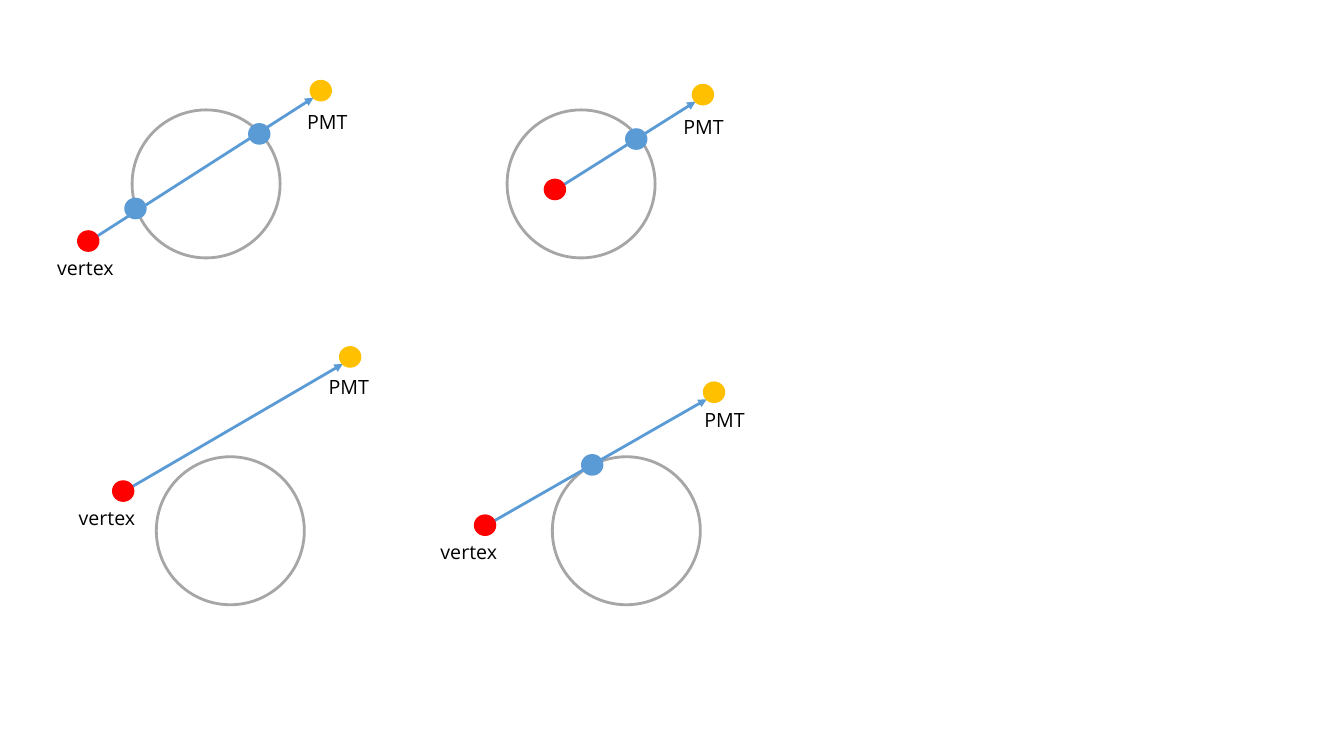
from lxml.etree import SubElement
from pptx import Presentation
from pptx.dml.color import RGBColor
from pptx.enum.shapes import MSO_CONNECTOR, MSO_SHAPE
from pptx.oxml.ns import qn
from pptx.util import Cm, Pt

COLORS = {
    "sphere": "A6A6A6",
    "ray": "5B9BD5",
    "vertex": "FF0000",
    "pmt": "FFC000",
    "text": "000000",
}
SPHERE_SIZE = 3.73
DOT_WIDTH, DOT_HEIGHT = 0.53, 0.51

CASES = [
    {"sphere": (3.33, 2.77), "vertex": (1.96, 5.82), "pmt": (7.82, 2.03),
     "crossings": [(6.27, 3.12), (3.15, 5.0)],
     "labels": [("vertex", 1.19, 6.32), ("PMT", 7.49, 2.64)]},
    {"sphere": (12.78, 2.77), "vertex": (13.72, 4.52), "pmt": (17.45, 2.13),
     "crossings": [(15.77, 3.25)],
     "labels": [("PMT", 16.97, 2.77)]},
    {"sphere": (3.94, 11.51), "vertex": (2.84, 12.12), "pmt": (8.56, 8.74),
     "crossings": [],
     "labels": [("vertex", 1.73, 12.62), ("PMT", 8.03, 9.32)]},
    {"sphere": (13.92, 11.51), "vertex": (11.96, 12.98), "pmt": (17.73, 9.63),
     "crossings": [(14.66, 11.46)],
     "labels": [("vertex", 10.85, 13.49), ("PMT", 17.5, 10.16)]},
]

presentation = Presentation()
presentation.slide_width = Cm(33.87)
presentation.slide_height = Cm(19.05)
slide = presentation.slides.add_slide(presentation.slide_layouts[6])


def add_ellipse(position, width, height, color, line_width, filled=True):
    left, top = position
    shape = slide.shapes.add_shape(
        MSO_SHAPE.OVAL, Cm(left), Cm(top), Cm(width), Cm(height))
    shape.shadow.inherit = False
    if filled:
        shape.fill.solid()
        shape.fill.fore_color.rgb = RGBColor.from_string(COLORS[color])
    else:
        shape.fill.background()
    shape.line.color.rgb = RGBColor.from_string(COLORS[color])
    shape.line.width = Pt(line_width)


def add_ray(start, end):
    connector = slide.shapes.add_connector(
        MSO_CONNECTOR.STRAIGHT, Cm(start[0]), Cm(start[1]), Cm(end[0]), Cm(end[1]))
    connector.line.color.rgb = RGBColor.from_string(COLORS["ray"])
    connector.line.width = Pt(2)
    SubElement(connector.line._get_or_add_ln(), qn("a:tailEnd"), type="triangle")
    SubElement(connector._element.spPr, qn("a:effectLst"))


for case in CASES:
    vertex, pmt = case["vertex"], case["pmt"]
    add_ellipse(case["sphere"], SPHERE_SIZE, SPHERE_SIZE, "sphere", 2, filled=False)
    add_ray((vertex[0] + 0.24, vertex[1] + 0.29), (pmt[0] + 0.08, pmt[1] + 0.43))
    dots = [("vertex", vertex), ("pmt", pmt)]
    dots += [("ray", crossing) for crossing in case["crossings"]]
    for color, position in dots:
        add_ellipse(position, DOT_WIDTH, DOT_HEIGHT, color, 1)
    for text, left, top in case["labels"]:
        label = slide.shapes.add_textbox(Cm(left), Cm(top), Cm(2.72), Cm(0.86))
        label.text_frame.word_wrap = True
        paragraph = label.text_frame.paragraphs[0]
        paragraph.text = text
        paragraph.font.name = "Open Sans"
        paragraph.font.size = Pt(14)
        paragraph.font.color.rgb = RGBColor.from_string(COLORS["text"])

presentation.save("out.pptx")
